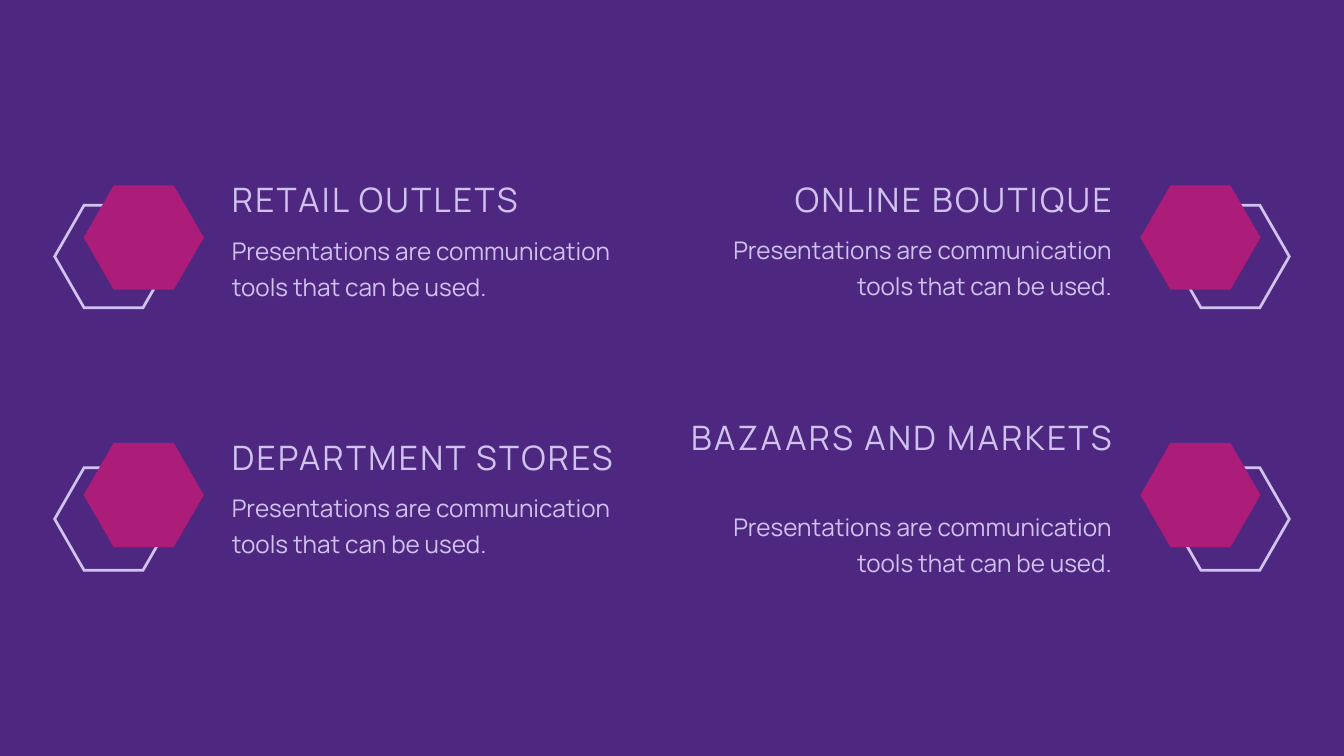
from dataclasses import dataclass

from pptx import Presentation
from pptx.dml.color import RGBColor
from pptx.enum.text import MSO_AUTO_SIZE as AutoSize, PP_ALIGN as Align
from pptx.util import Pt


@dataclass(frozen=True)
class Theme:
    background: RGBColor = RGBColor.from_string("4E2780")
    lilac: RGBColor = RGBColor.from_string("D0C3F1")
    magenta: RGBColor = RGBColor.from_string("AB1D79")
    font: str = "Manrope"
    heading: int = 36
    body: int = 26


theme = Theme()

prs = Presentation()
prs.slide_width, prs.slide_height = Pt(1440), Pt(810)
slide = prs.slides.add_slide(prs.slide_layouts[6])
slide.background.fill.solid()
slide.background.fill.fore_color.rgb = theme.background


def add_label(text, left, top, width, height, size, leading, align, tracking=0):
    box = slide.shapes.add_textbox(Pt(left), Pt(top), Pt(width), Pt(height))
    frame = box.text_frame
    frame.margin_left = frame.margin_top = frame.margin_right = frame.margin_bottom = 0
    frame.word_wrap = True
    frame.auto_size = AutoSize.SHAPE_TO_FIT_TEXT
    paragraph = frame.paragraphs[0]
    run = paragraph.add_run()
    run.text = text
    paragraph.alignment = align
    paragraph.line_spacing = Pt(leading)
    paragraph.font.name = theme.font
    paragraph.font.size = Pt(size)
    paragraph.font.color.rgb = theme.lilac
    if tracking:
        run._r.get_or_add_rPr().set("spc", str(int(tracking * 100)))


def add_hexagon(left, top, width, height, color, rim_x=0, rim_y=0):
    contours = []
    for dx, dy in [(0, 0), (rim_x, rim_y)][: 2 if rim_x else 1]:
        x, y, w, h = left + dx, top + dy, width - 2 * dx, height - 2 * dy
        contours.append([
            (Pt(x + w * across), Pt(y + h * down))
            for across, down in [(0.75, 0), (0.25, 0), (0, 0.5), (0.25, 1), (0.75, 1), (1, 0.5)]
        ])
    builder = slide.shapes.build_freeform(*contours[0][0])
    builder.add_line_segments(contours[0][1:], close=True)
    for inner in contours[1:]:
        builder.move_to(*inner[0])
        builder.add_line_segments(inner[1:], close=True)
    hexagon = builder.convert_to_shape()
    hexagon.shadow.inherit = False
    hexagon.fill.solid()
    hexagon.fill.fore_color.rgb = color
    hexagon.line.fill.background()


description = "Presentations are communication tools that can be used."
left_side = (248.4, 450, Align.LEFT, 56.9, 89.6)
right_side = (734.4, 457.2, Align.RIGHT, 1253.5, 1221.8)
upper_icon = (218.4, 198.7)
lower_icon = (499.7, 474.5)

channels = [
    ("RETAIL OUTLETS", left_side, upper_icon, 192.2, 42.5, 244.8),
    ("ONLINE BOUTIQUE", right_side, upper_icon, 192.2, 42.5, 244.1),
    ("DEPARTMENT STORES", left_side, lower_icon, 468, 42.5, 520.6),
    ("BAZAARS AND MARKETS", right_side, lower_icon, 447.1, 84.2, 540.7),
]

for heading, side, icon, heading_top, heading_height, body_top in channels:
    text_left, text_width, align, ring_left, solid_left = side
    ring_top, solid_top = icon
    add_label(heading, text_left, heading_top, text_width, heading_height,
              theme.heading, 43.2, align, tracking=2.5)
    add_label(description, text_left, body_top, text_width, 73,
              theme.body, 39, align)
    add_hexagon(ring_left, ring_top, 129.6, 112.8, theme.lilac, rim_x=3.4, rim_y=2.9)
    add_hexagon(solid_left, solid_top, 128.8, 111.6, theme.magenta)

prs.save("out.pptx")
